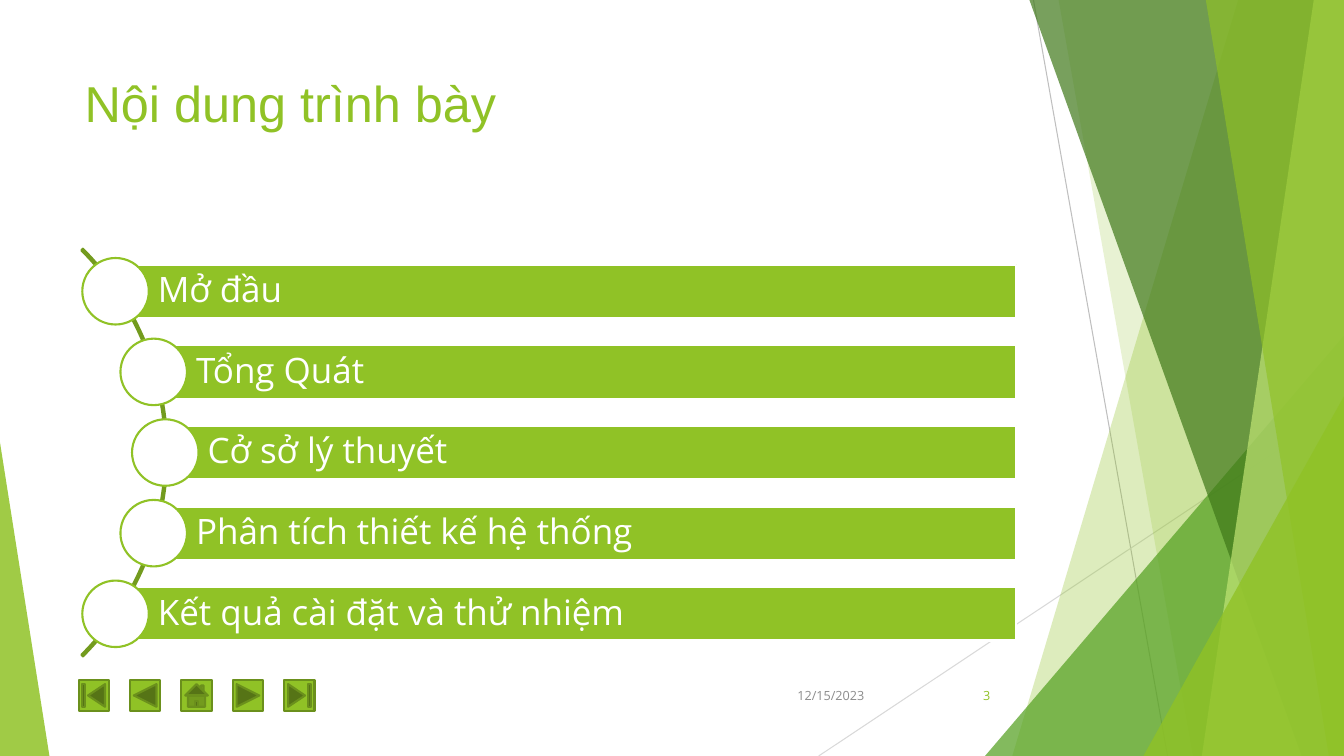
from dataclasses import dataclass
from math import sqrt

from pptx import Presentation
from pptx.dml.color import RGBColor
from pptx.enum.shapes import MSO_CONNECTOR, MSO_SHAPE
from pptx.enum.text import MSO_ANCHOR, PP_ALIGN
from pptx.oxml.ns import qn
from pptx.util import Inches, Pt

LINE = MSO_CONNECTOR.STRAIGHT
RECT, OVAL, ARC = MSO_SHAPE.RECTANGLE, MSO_SHAPE.OVAL, MSO_SHAPE.BLOCK_ARC
TRI = MSO_SHAPE.ISOSCELES_TRIANGLE
MID, TOP = MSO_ANCHOR.MIDDLE, MSO_ANCHOR.TOP
LEFT, RIGHT = PP_ALIGN.LEFT, PP_ALIGN.RIGHT
BUTTONS = (
    MSO_SHAPE.ACTION_BUTTON_BEGINNING,
    MSO_SHAPE.ACTION_BUTTON_BACK_OR_PREVIOUS,
    MSO_SHAPE.ACTION_BUTTON_HOME,
    MSO_SHAPE.ACTION_BUTTON_FORWARD_OR_NEXT,
    MSO_SHAPE.ACTION_BUTTON_END,
)
COLS, ROWS = 13.33, 7.5
TOPICS = (
    "Mở đầu",
    "Tổng Quát",
    "Cở sở lý thuyết",
    "Phân tích thiết kế hệ thống",
    "Kết quả cài đặt và thử nhiệm",
)


@dataclass(frozen=True)
class Theme:
    lime: str = "90C226"
    leaf: str = "54A021"
    moss: str = "3F7819"
    pale: str = "C0E474"
    edge: str = "6B901C"
    arc: str = "739B1E"
    white: str = "FFFFFF"
    grey: str = "8C8C8C"
    dark: str = "BFBFBF"
    light: str = "D9D9D9"
    head: str = "Arial"
    body: str = "Open Sans"
    title: int = 36
    topic: int = 25
    foot: int = 9
    thin: float = 0.75
    bold: float = 1.5


THEME = Theme()


def grid(*cells):
    return [Inches(cell) for cell in cells]


def paint(shape, fill=None, line=None, alpha=100):
    shape.shadow.inherit = False
    if fill:
        shape.fill.solid()
        shape.fill.fore_color.rgb = RGBColor.from_string(fill)
        if alpha < 100:
            color = shape._element.spPr.find(".//" + qn("a:srgbClr"))
            node = color.makeelement(qn("a:alpha"), {"val": str(alpha * 1000)})
            color.append(node)
    else:
        shape.fill.background()
    if line:
        shape.line.color.rgb = RGBColor.from_string(line)
        shape.line.width = Pt(THEME.bold)
    else:
        shape.line.fill.background()


def add_form(slide, kind, box, adjust=(), **look):
    shape = slide.shapes.add_shape(kind, *grid(*box))
    for index, value in enumerate(adjust):
        shape.adjustments[index] = value
    paint(shape, **look)
    return shape


def add_shard(slide, points, **look):
    spots = [grid(*point) for point in points]
    pen = slide.shapes.build_freeform(*spots[0])
    pen.add_line_segments(spots[1:], close=True)
    paint(pen.convert_to_shape(), **look)


def add_rule(slide, ends, color):
    rule = slide.shapes.add_connector(LINE, *grid(*ends))
    rule.line.color.rgb = RGBColor.from_string(color)
    rule.line.width = Pt(THEME.thin)
    props = rule._element.spPr
    props.append(props.makeelement(qn("a:effectLst"), {}))


def write(shape, text, size, color, font=THEME.body, align=LEFT, anchor=MID):
    frame = shape.text_frame
    frame.word_wrap = True
    frame.vertical_anchor = anchor
    para = frame.paragraphs[0]
    para.text = text
    para.alignment = align
    para.font.size = Pt(size)
    para.font.name = font
    para.font.color.rgb = RGBColor.from_string(color)
    return frame


def add_label(slide, box, *words, **style):
    write(slide.shapes.add_textbox(*grid(*box)), *words, **style)


def add_back(slide):
    add_rule(slide, (10.25, 0, 11.58, ROWS), THEME.dark)
    add_rule(slide, (COLS, 4.03, 8.12, ROWS), THEME.light)

    def shard(top, foot, fill, alpha):
        points = ((top, 0), (COLS, 0), (COLS, ROWS), (foot, ROWS))
        add_shard(slide, points, fill=fill, alpha=alpha)

    def wedge(left, top, wide, tip, fill, alpha):
        box = (left, top, wide, ROWS - top)
        add_form(slide, TRI, box, (tip,), fill=fill, alpha=alpha)

    shard(12.28, 10.04, THEME.lime, 30)
    shard(10.5, 11.83, THEME.lime, 20)
    wedge(9.77, 3.33, 3.56, 1, THEME.leaf, 72)
    shard(10.21, 12.91, THEME.moss, 70)
    shard(13.03, 11.92, THEME.pale, 70)
    shard(11.96, 13.18, THEME.lime, 65)
    wedge(11.34, 3.93, 1.99, 1, THEME.lime, 80)
    wedge(0, 4.39, 0.49, 0, THEME.lime, 85)


def add_topics(slide):
    hub, mid, reach, step = -1.2, 4.49, 2.86, 0.8
    right, tall, disc = 10.08, 0.53, 0.66
    add_form(slide, ARC, (hub - reach, mid - reach, 2 * reach, 2 * reach),
             (189, 27, 0.004), line=THEME.arc)
    for index, topic in enumerate(TOPICS):
        drop = (index - len(TOPICS) // 2) * step
        x, y = hub + sqrt((reach - 0.02) ** 2 - drop ** 2), mid + drop
        bar = add_form(slide, RECT, (x, y - tall / 2, right - x, tall),
                       fill=THEME.lime, line=THEME.white)
        frame = write(bar, topic, THEME.topic, THEME.white)
        frame.margin_left = Inches(0.42)
        frame.margin_top = frame.margin_right = frame.margin_bottom = Inches(0.07)
        frame.paragraphs[0].line_spacing = 0.9
        add_form(slide, OVAL, (x - disc / 2, y - disc / 2, disc, disc),
                 fill=THEME.white, line=THEME.lime)


def add_buttons(slide):
    for index, kind in enumerate(BUTTONS):
        add_form(slide, kind, (0.78 + 0.51 * index, 6.75, 0.3, 0.3),
                 fill=THEME.lime, line=THEME.edge)


def main():
    deck = Presentation()
    deck.slide_width, deck.slide_height = grid(COLS, ROWS)
    slide = deck.slides.add_slide(deck.slide_layouts[6])
    add_back(slide)
    add_buttons(slide)
    add_label(slide, (0.74, 0.67, 9.4, 0.94), "Nội dung trình bày",
              THEME.title, THEME.lime, font=THEME.head, anchor=TOP)
    add_topics(slide)
    add_label(slide, (7.67, 6.7, 1, 0.4), "12/15/2023",
              THEME.foot, THEME.grey, align=RIGHT)
    add_label(slide, (9.17, 6.7, 0.75, 0.4), "3",
              THEME.foot, THEME.lime, align=RIGHT)
    deck.save("out.pptx")


main()
